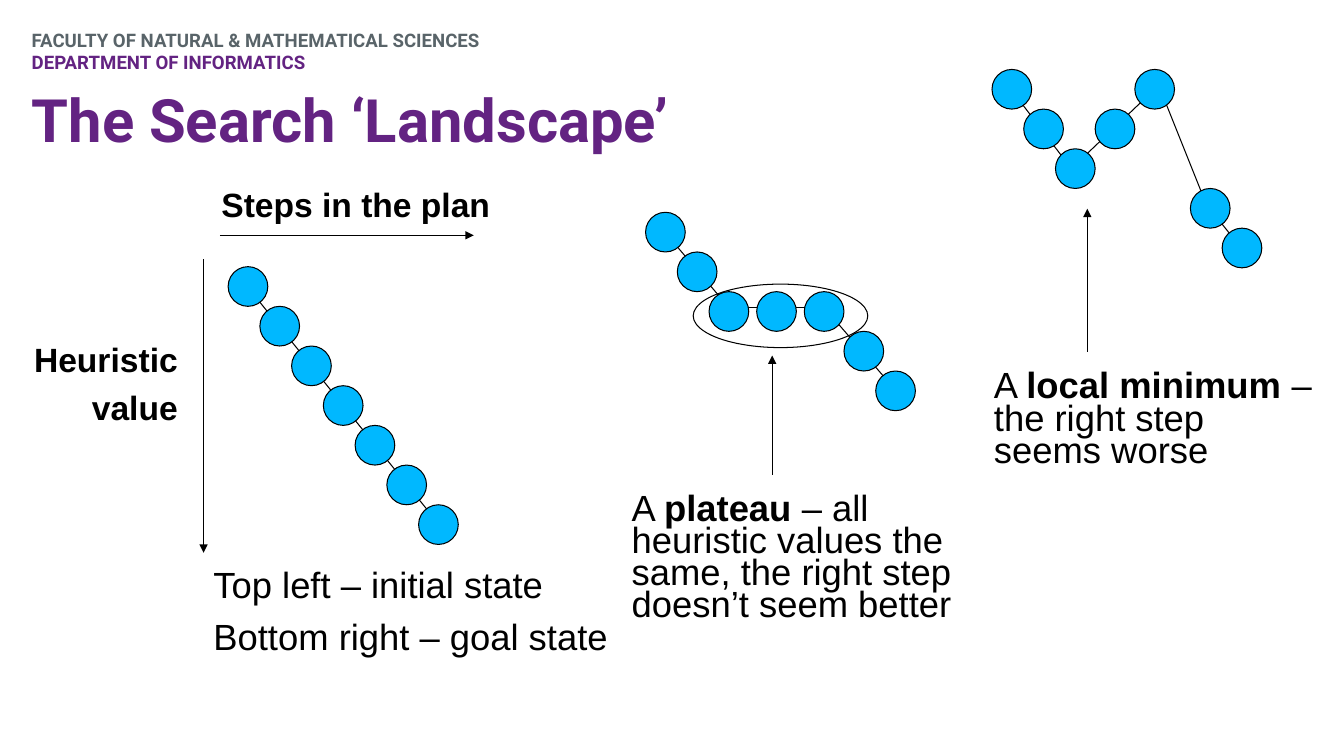
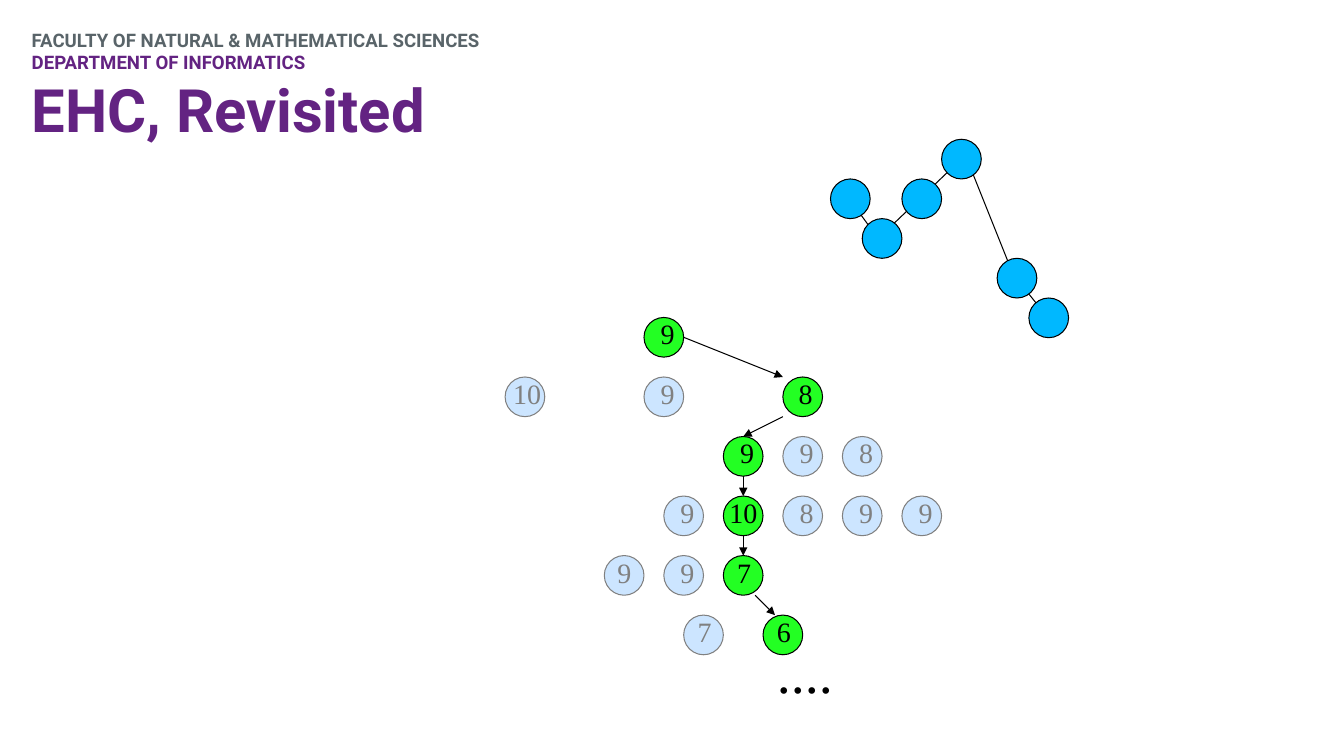
from pptx import Presentation
from pptx.dml.color import RGBColor
from pptx.enum.shapes import MSO_CONNECTOR, MSO_SHAPE
from pptx.enum.text import PP_ALIGN
from pptx.oxml.ns import qn
from pptx.util import Cm, Pt
from lxml.etree import SubElement

PURPLE, GREY, BLACK, WHITE = "632382", "596469", "000000", "FFFFFF"
PLAN_BLUE, PATH_GREEN, DISCARDED_BLUE = "00B8FF", "23FF23", "99CCFF"
DOT = 1.0
BODY_SPACING = 0.74

# Dots and connecting route, relative to the first dot of each plan
DESCENT_DOTS = [(0.8 * step, step) for step in range(7)]
DESCENT_ROUTE = [(0.4, 0.4), (5.4, 6.6)]
PLATEAU_DOTS = [(0, 0), (0.8, 1), (1.6, 2), (2.8, 2), (4, 2), (5, 3), (5.8, 4)]
PLATEAU_ROUTE = [(0.4, 0.4), (2.1, 2.4), (4.5, 2.4), (6.4, 4.6)]
MINIMUM_DOTS = [(0, 0), (0.8, 1), (1.6, 2), (2.6, 1), (3.6, 0), (5, 3), (5.8, 4)]
MINIMUM_ROUTE = [(0.4, 0.4), (2, 2.5), (4.2, 0.4), (5.4, 3.4), (6.2, 4.4)]

# Search states: row, column offset, heuristic value, label shift
TREE_LEFT, TREE_TOP, ROW_STEP = 12.73, 8.0, 1.5
DISCARDED_STATES = [
    (1, 0, "10", -0.05), (1, 3.5, "9", 0.17),
    (2, 7, "9", 0.17), (2, 8.5, "8", 0.17),
    (3, 4, "9", 0.17), (3, 7, "8", 0.17), (3, 8.5, "9", 0.17), (3, 10, "9", 0.17),
    (4, 2.5, "9", 0.08), (4, 4, "9", 0.17),
    (5, 4.5, "7", 0.1),
]
PATH_STATES = [
    (0, 3.5, "9", 0.17), (1, 7, "8", 0.15), (2, 5.5, "9", 0.17),
    (3, 5.5, "10", -0.1), (4, 5.5, "7", 0.1), (5, 6.5, "6", 0.1),
]
VEILS = [
    (12.24, 9.2, 5.5, 1.5), (14.73, 13.9, 3.33, 1.35), (16.43, 12.2, 1.5, 1.5),
    (19.53, 10.9, 5, 3), (16.84, 15.3, 1.65, 1.42),
]
PATH_ARROWS = [
    ((17.23, 8.5), (19.73, 9.5)), ((19.73, 10.5), (18.73, 11)),
    ((18.73, 12), (18.73, 12.5)), ((18.73, 13.5), (18.73, 14)),
    ((19.03, 15), (19.53, 15.5)),
]


def rgb(colour):
    return RGBColor.from_string(colour)


class Deck:
    """Holds the shared style and the slide being filled."""

    def __init__(self):
        self.presentation = Presentation()
        self.presentation.slide_width = Cm(33.87)
        self.presentation.slide_height = Cm(19.05)
        self.slide = None

    def new_slide(self, title, title_spacing=1.0):
        self.slide = self.presentation.slides.add_slide(self.presentation.slide_layouts[6])
        faculty = ("FACULTY OF NATURAL & MATHEMATICAL SCIENCES", True, GREY)
        department = ("DEPARTMENT OF INFORMATICS", True, PURPLE)
        self.text((0.8, 0.72, 22.68, 1.14), [[faculty], [department]],
                  13.3, "Roboto", margins=(0, 0))
        self.text((0.8, 2.08, 29.2, 2), [[(title, True, PURPLE)]],
                  42.7, "Roboto", title_spacing, margins=(0, 0))

    def text(self, box, paragraphs, size, font="Arial", spacing=1.0, gap=0,
             align=PP_ALIGN.LEFT, margins=(0.25, 0.13)):
        """Add paragraphs, each a list of (text, bold, colour) runs."""
        frame = self.slide.shapes.add_textbox(*map(Cm, box)).text_frame
        frame.word_wrap = True
        frame.margin_left = frame.margin_right = Cm(margins[0])
        frame.margin_top = frame.margin_bottom = Cm(margins[1])
        for index, runs in enumerate(paragraphs):
            paragraph = frame.add_paragraph() if index else frame.paragraphs[0]
            paragraph.alignment = align
            paragraph.line_spacing = spacing
            if index and gap:
                paragraph.space_before = Pt(gap)
            for words, bold, colour in runs:
                run = paragraph.add_run()
                run.text = words
                run.font.name, run.font.size = font, Pt(size)
                run.font.bold = bold
                run.font.color.rgb = rgb(colour)

    def body(self, box, paragraphs, size=26, align=PP_ALIGN.LEFT):
        """Add tightly set black text; paragraphs hold (text, bold) runs."""
        coloured = [[(words, bold, BLACK) for words, bold in runs] for runs in paragraphs]
        self.text(box, coloured, size, spacing=BODY_SPACING, gap=0.55 * size, align=align)

    def shape(self, preset, box, fill=None, line=BLACK, opacity=None):
        shape = self.slide.shapes.add_shape(preset, *map(Cm, box))
        shape.shadow.inherit = False
        shape.line.color.rgb = rgb(line)
        shape.line.width = Pt(0.75)
        if fill is None:
            shape.fill.background()
            return
        shape.fill.solid()
        shape.fill.fore_color.rgb = rgb(fill)
        if opacity is not None:
            colour = shape._element.spPr.find(qn("a:solidFill")).find(qn("a:srgbClr"))
            SubElement(colour, qn("a:alpha"), val=str(opacity * 1000))

    def dot(self, left, top, fill):
        self.shape(MSO_SHAPE.OVAL, (left, top, DOT, DOT), fill)

    def line(self, start, end, arrow=False):
        connector = self.slide.shapes.add_connector(
            MSO_CONNECTOR.STRAIGHT, *map(Cm, (*start, *end)))
        connector.line.color.rgb = rgb(BLACK)
        connector.line.width = Pt(0.75)
        if arrow:
            SubElement(connector.line._get_or_add_ln(), qn("a:tailEnd"), type="triangle")
        SubElement(connector._element.spPr, qn("a:effectLst"))

    def plan(self, left, top, dots, route):
        """Draw a plan as dots over the route that joins them."""
        points = [(left + x, top + y) for x, y in route]
        for start, end in zip(points, points[1:]):
            self.line(start, end)
        for x, y in dots:
            self.dot(left + x, top + y, PLAN_BLUE)

    def states(self, states, fill):
        for row, column, value, shift in states:
            left, top = TREE_LEFT + column, TREE_TOP + ROW_STEP * row
            self.dot(left, top, fill)
            self.text((left + shift, top - 0.02, 1.5, 1.04), [[(value, False, BLACK)]],
                      20, "Times New Roman", 0.86)


def landscape_slide(deck):
    deck.new_slide("The Search ‘Landscape’")

    deck.plan(25, 1.75, MINIMUM_DOTS, MINIMUM_ROUTE)
    deck.body((24.8, 9.27, 8.62, 2.7), [[
        ("A ", False), ("local minimum", True), (" – the right step seems worse", False)]])
    deck.line((27.4, 8.87), (27.4, 5.26), arrow=True)

    deck.plan(16.27, 5.35, PLATEAU_DOTS, PLATEAU_ROUTE)
    deck.body((15.67, 12.35, 8.62, 3.53), [[
        ("A ", False), ("plateau", True),
        (" – all heuristic values the same, the right step doesn’t seem better", False)]])
    deck.shape(MSO_SHAPE.OVAL, (17.47, 7.16, 4.4, 1.6))
    deck.line((19.46, 11.96), (19.46, 8.96), arrow=True)

    deck.plan(5.75, 6.72, DESCENT_DOTS, DESCENT_ROUTE)
    deck.body((5.13, 14.3, 11, 2.46), [
        [("Top left – initial state", False)], [("Bottom right – goal state", False)]])
    deck.line((5.54, 5.93), (11.94, 5.93), arrow=True)
    deck.body((5.33, 4.74, 7.6, 1.02), [[("Steps in the plan", True)]], 24)
    deck.line((5.13, 6.53), (5.13, 13.93), arrow=True)
    deck.body((0.03, 8.65, 4.7, 2.29), [[("Heuristic", True)], [("value", True)]],
              24, PP_ALIGN.RIGHT)


def hill_climbing_slide(deck):
    deck.new_slide("EHC, Revisited", title_spacing=0.87)
    deck.states(DISCARDED_STATES, DISCARDED_BLUE)
    for veil in VEILS:
        deck.shape(MSO_SHAPE.RECTANGLE, veil, WHITE, WHITE, opacity=50)
    deck.states(PATH_STATES, PATH_GREEN)
    for start, end in PATH_ARROWS:
        deck.line(start, end, arrow=True)
    deck.text((19.33, 16.18, 2.2, 1.8), [[("....", False, BLACK)]],
              40, "Times New Roman", 0.86)
    deck.plan(20.13, 3.51, MINIMUM_DOTS[1:], [(1.2, 1.4)] + MINIMUM_ROUTE[1:])


def main():
    deck = Deck()
    landscape_slide(deck)
    hill_climbing_slide(deck)
    deck.presentation.save("out.pptx")


if __name__ == "__main__":
    main()
